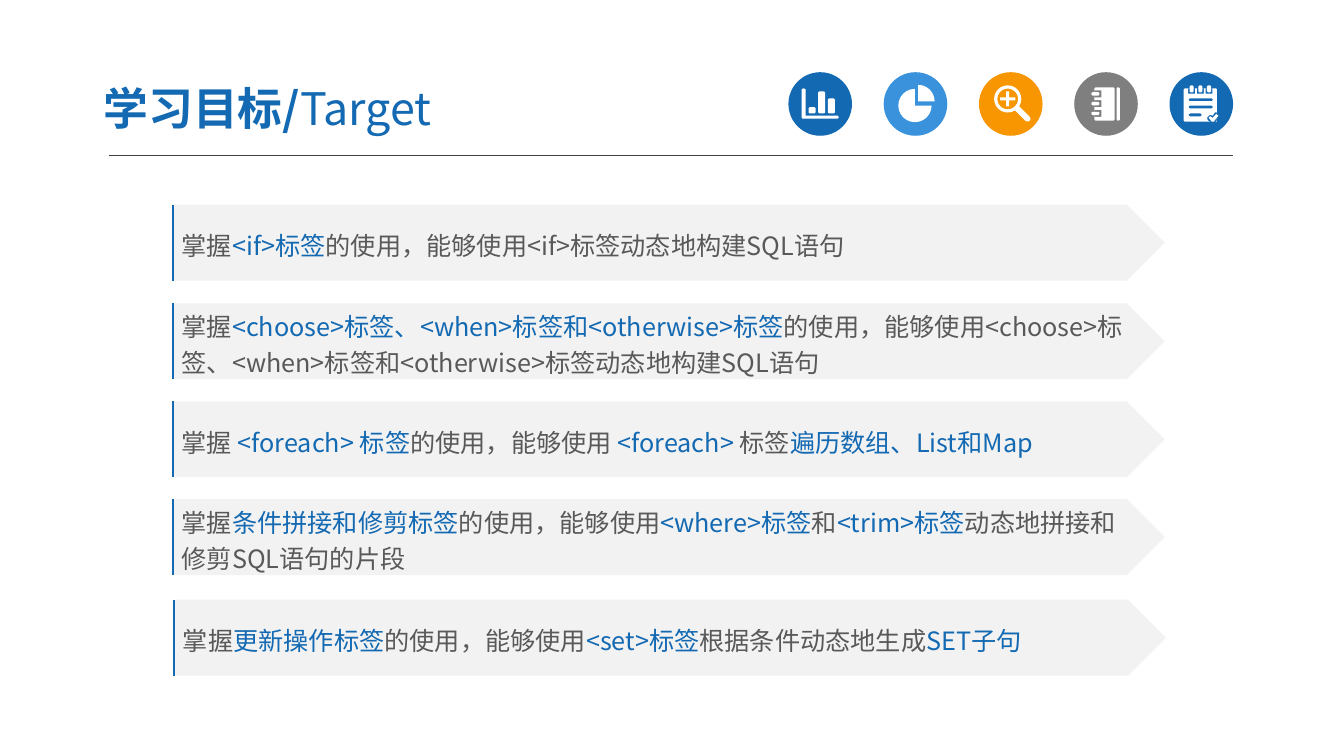
from math import cos, radians, sin

from lxml import etree
from pptx import Presentation
from pptx.dml.color import RGBColor
from pptx.enum.shapes import MSO_CONNECTOR, MSO_SHAPE
from pptx.enum.text import MSO_ANCHOR, PP_ALIGN
from pptx.oxml.ns import qn
from pptx.util import Pt

OVAL, ARROW, STRAIGHT = MSO_SHAPE.OVAL, MSO_SHAPE.PENTAGON, MSO_CONNECTOR.STRAIGHT
MIDDLE, LEFT = MSO_ANCHOR.MIDDLE, PP_ALIGN.LEFT

FONT = "Noto Sans CJK SC"
BLUE, SKY, ORANGE, GREY = "1369B2", "3992DB", "F79600", "7F7F7F"
WHITE, BAND, TEXT, RULE = "FFFFFF", "F2F2F2", "595959", "404040"
DISC, DISC_LEFT, DISC_TOP, DISC_STEP = 45.4, 563.2, 51.6, 68.05

# Text pieces alternate between plain and highlighted.
GOALS = [
    (122.7, 146.2, ["掌握", "<if>标签", "的使用，能够使用<if>标签动态地构建SQL语句"]),
    (122.7, 216.7, ["掌握", "<choose>标签、<when>标签和<otherwise>标签",
                    "的使用，能够使用<choose>标签、<when>标签和<otherwise>标签动态地构建SQL语句"]),
    (122.7, 286.7, ["掌握", " <foreach> 标签", "的使用，能够使用 ", "<foreach>",
                    " 标签", "遍历数组、List和Map"]),
    (122.7, 356.6, ["掌握", "条件拼接和修剪标签", "的使用，能够使用", "<where>标签",
                    "和", "<trim>标签", "动态地拼接和修剪SQL语句的片段"]),
    (123.6, 428.4, ["掌握", "更新操作标签", "的使用，能够使用", "<set>标签",
                    "根据条件动态地生成", "SET子句"]),
]


def rgb(color):
    """Return the colour for a hex string."""
    return RGBColor.from_string(color)


def fill_shape(sp, color):
    """Fill a shape and remove its outline and shadow."""
    sp.shadow.inherit = False
    sp.fill.solid()
    sp.fill.fore_color.rgb = rgb(color)
    sp.line.fill.background()


def add_shape(s, kind, x, y, w, h, color):
    """Add a filled preset shape."""
    sp = s.shapes.add_shape(kind, Pt(x), Pt(y), Pt(w), Pt(h))
    fill_shape(sp, color)
    return sp


def add_outline(s, contours, x=0, y=0, close=True):
    """Add one freeform made of several contours."""
    fb = None
    for contour in contours:
        points = [(Pt(x + px), Pt(y + py)) for px, py in contour]
        if fb is None:
            fb = s.shapes.build_freeform(*points[0])
        else:
            fb.move_to(*points[0])
        fb.add_line_segments(points[1:], close=close)
    return fb.convert_to_shape()


def add_run(p, text, size, color, bold=False):
    """Add a formatted run to a paragraph."""
    r = p.add_run()
    r.text = text
    r.font.size = Pt(size)
    r.font.name = FONT
    r.font.bold = bold
    r.font.color.rgb = rgb(color)
    etree.SubElement(r._r.get_or_add_rPr(), qn("a:ea"), typeface=FONT)


def add_title(s):
    """Add the two-language title and the rule under it."""
    tf = s.shapes.add_textbox(Pt(64.4), Pt(50.6), Pt(375.8), Pt(51.8)).text_frame
    tf.word_wrap = True
    tf.vertical_anchor = MIDDLE
    tf.margin_left = tf.margin_right = Pt(9.5)
    tf.margin_top = tf.margin_bottom = Pt(5)
    add_run(tf.paragraphs[0], "学习目标/", 32, BLUE, True)
    add_run(tf.paragraphs[0], "Target", 32, BLUE)
    rule = s.shapes.add_connector(STRAIGHT, Pt(77.8), Pt(111.3), Pt(880.6), Pt(111.3))
    rule.line.color.rgb = rgb(RULE)
    rule.line.width = Pt(0.75)
    etree.SubElement(rule._element.spPr, qn("a:effectLst"))


def add_goal(s, left, top, pieces):
    """Add an arrow band with its text and its left edge line."""
    sp = add_shape(s, ARROW, left, top, 709.2, 54.2, BAND)
    tf = sp.text_frame
    tf.word_wrap = True
    tf.vertical_anchor = MIDDLE
    p = tf.paragraphs[0]
    p.alignment = LEFT
    p.line_spacing = 1.2
    for i, piece in enumerate(pieces):
        add_run(p, piece, 18, BLUE if i % 2 else TEXT)
    edge = add_outline(s, [[(0, 54.2), (0, 0)]], left + 0.8, top, close=False)
    edge.shadow.inherit = False
    edge.fill.background()
    edge.line.color.rgb = rgb(BLUE)
    edge.line.width = Pt(1.5)


def arc(cx, cy, radius, start=0, end=345):
    """Return points on an arc, clockwise in steps of 15 degrees."""
    return [(cx + radius * cos(radians(a)), cy + radius * sin(radians(a)))
            for a in range(start, end + 1, 15)]


def bar(x, y, w, h, cut=0.8):
    """Return a rectangle with cut corners."""
    r, b = x + w, y + h
    return [(x + cut, y), (r - cut, y), (r, y + cut), (r, b - cut),
            (r - cut, b), (x + cut, b), (x, b - cut), (x, y + cut)]


def chart_icon():
    """Return the axes and three columns."""
    axes = [(9.4, 12.2), (10.8, 11.5), (12.3, 12.2), (12.3, 31), (35.3, 31),
            (36, 32.1), (35.3, 33.2), (10.1, 33.2), (9.4, 32.4)]
    return [axes] + [bar(14.4 + 6.9 * i, 29.5 - h, 5, h)
                     for i, h in enumerate((4.5, 15.8, 10.8))]


def pie_icon():
    """Return a pie with one quarter pulled out."""
    return [[(24.5, 20.9)] + arc(24.5, 20.9, 11.9, 270, 360),
            [(22.3, 23.8)] + arc(22.3, 23.8, 11.9, 0, 270)]


def magnifier_icon():
    """Return a magnifier with a plus sign."""
    cx, cy, a, t = 20.5, 19.1, 5.4, 1.1
    plus = [(-a, -t), (-t, -t), (-t, -a), (t, -a), (t, -t), (a, -t),
            (a, t), (t, t), (t, a), (-t, a), (-t, t), (-a, t)]
    handle = [(28.8, 24.4), (36.4, 32), (36.8, 33.8), (35.6, 35.2),
              (33.4, 35), (25.8, 27.4)]
    return [arc(cx, cy, 9.7), arc(cx, cy, 7.4),
            [(cx + x, cy + y) for x, y in plus], handle]


def notebook_icon():
    """Return a ring-bound notebook."""
    contours = [bar(14.4, 10.8, 14.4, 23.8), bar(30.2, 10.8, 2.4, 23.8)]
    for middle in (15.5, 22.5, 29.5):
        contours += [bar(14.4, middle - 2.5, 5, 5, 0), bar(12.2, middle - 1.2, 5.8, 2.4)]
    return contours


def notepad_icon():
    """Return a notepad with rings, text lines and a check mark."""
    contours = [bar(10.1, 11.5, 23.8, 23.8)]
    for left in (14.4, 20.6, 26.8):
        contours += [bar(left - 1, 11.5, 4.9, 3.8, 0), bar(left, 9.4, 2.9, 5)]
    for top, width in ((18.7, 17.3), (23.8, 17.3), (29.5, 9.4)):
        contours.append(bar(13.7, top, width, 2))
    corner = [(33.9, 28.6), (32.4, 28.8), (30.9, 31), (28.8, 30.4),
              (26.8, 32.4), (27.4, 34.4), (28.8, 35.3), (33.9, 35.3)]
    check = [(28, 32.6), (29, 31.4), (30.9, 32.6), (33.2, 30), (35, 31),
             (31.7, 35.2), (30.2, 35.2)]
    return contours + [corner, check]


def main():
    """Build the slide and save it."""
    prs = Presentation()
    prs.slide_width, prs.slide_height = Pt(960), Pt(540)
    s = prs.slides.add_slide(prs.slide_layouts[6])
    icons = [(BLUE, chart_icon), (SKY, pie_icon), (ORANGE, magnifier_icon),
             (GREY, notebook_icon), (BLUE, notepad_icon)]
    for i, (color, icon) in enumerate(icons):
        x = DISC_LEFT + DISC_STEP * i
        add_shape(s, OVAL, x, DISC_TOP, DISC, DISC, color)
        fill_shape(add_outline(s, icon(), x, DISC_TOP), WHITE)
    add_title(s)
    for left, top, pieces in GOALS:
        add_goal(s, left, top, pieces)
    prs.save("out.pptx")


if __name__ == "__main__":
    main()
